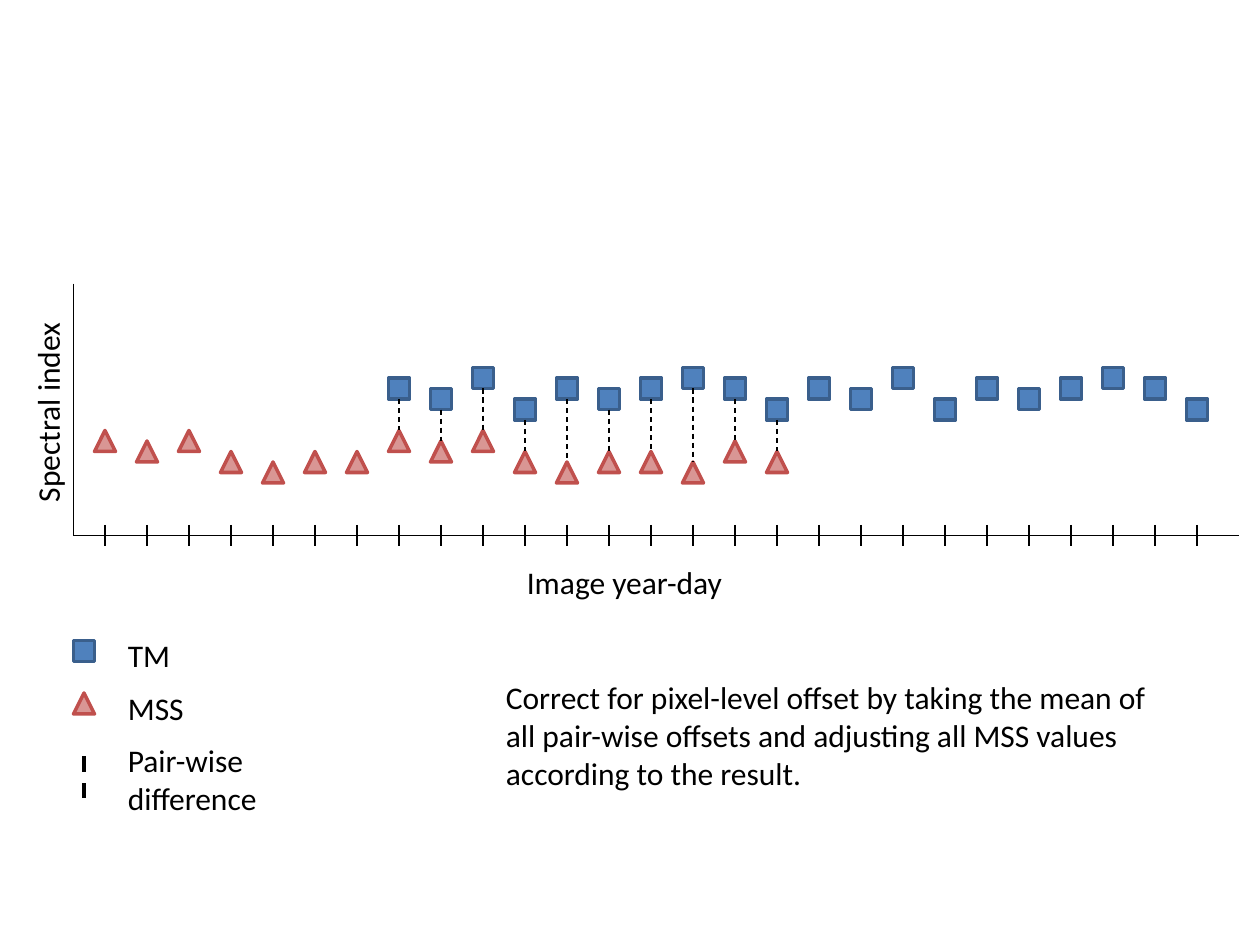
from lxml import etree
from pptx import Presentation
from pptx.dml.color import RGBColor
from pptx.enum.dml import MSO_LINE
from pptx.enum.shapes import MSO_CONNECTOR, MSO_SHAPE
from pptx.oxml.ns import qn
from pptx.util import Cm, Pt

STRAIGHT = MSO_CONNECTOR.STRAIGHT
DASH = MSO_LINE.DASH
SQUARE, TRIANGLE = MSO_SHAPE.RECTANGLE, MSO_SHAPE.ISOSCELES_TRIANGLE

THEME = {
    "font": "Calibri", "size": Pt(18), "ink": RGBColor.from_string("000000"),
    "thin": Pt(0.75), "thick": Pt(2.25), "outline": Pt(2),
    "TM": {"shape": SQUARE, "fill": RGBColor.from_string("4F81BD"),
           "line": RGBColor.from_string("3A5F8C")},
    "MSS": {"shape": TRIANGLE, "fill": RGBColor.from_string("D99694"),
            "line": RGBColor.from_string("C0504D")},
}

# All positions are in grid steps of 1/12 inch; series values are marker tops.
GRID = 2.54 / 12
MARKER = 2
TICK_COUNT, FIRST_TICK, TICK_STEP = 27, 10, 4
AXIS_LEFT, AXIS_RIGHT, AXIS_TOP, AXIS_BOTTOM = 7, 118, 27, 51
TM_START = 7
TM_TOPS = [36, 37, 35, 38, 36, 37, 36, 35, 36, 38,
           36, 37, 35, 38, 36, 37, 36, 35, 36, 38]
MSS_TOPS = [41, 42, 41, 43, 44, 43, 43, 41, 42, 41,
            43, 44, 43, 43, 44, 42, 43]

# text, left, top, width, height, rotation
LABELS = [
    ("Image year-day", 49, 53, 25, 4.8, 0),
    ("Correct for pixel-level offset by taking the mean of all pair-wise "
     "offsets and adjusting all MSS values according to the result.",
     47, 64, 64, 12.1, 0),
    ("Spectral index", -5.5, 36.6, 20, 4.8, 270),
]
LEGEND_LABELS = [
    ("TM", 11, 60, 9, 5, 0),
    ("MSS", 11, 65, 9, 5, 0),
    ("Pair-wise difference", 11, 70, 17, 8.5, 0),
]
LEGEND_MARKERS = [("TM", 8, 61), ("MSS", 8, 66)]
LEGEND_DASH = (8, 72, 8, 76)


def grid(*steps):
    """Turn grid steps into lengths."""
    return [Cm(step * GRID) for step in steps]


def tick_x(index):
    """Return the horizontal place of a tick."""
    return FIRST_TICK + index * TICK_STEP


def add_marker(shapes, series, center, top):
    """Add one series marker centred on a grid column."""
    style = THEME[series]
    shape = shapes.add_shape(style["shape"],
                             *grid(center - MARKER / 2, top, MARKER, MARKER))
    shape.shadow.inherit = False
    shape.fill.solid()
    shape.fill.fore_color.rgb = style["fill"]
    shape.line.color.rgb = style["line"]
    shape.line.width = THEME["outline"]


def add_line(shapes, ends, width=THEME["thin"], dash=None):
    """Add a straight black line without a shadow."""
    line = shapes.add_connector(STRAIGHT, *grid(*ends))
    line.line.color.rgb = THEME["ink"]
    for name, value in {"width": width, "dash_style": dash}.items():
        setattr(line.line, name, value)
    etree.SubElement(line._element.spPr, qn("a:effectLst"))


def add_label(shapes, text, left, top, width, height, rotation):
    """Add a wrapped text box."""
    box = shapes.add_textbox(*grid(left, top, width, height))
    box.rotation = rotation
    box.text_frame.word_wrap = True
    run = box.text_frame.paragraphs[0].add_run()
    run.text = text
    for name, value in {"name": THEME["font"], "size": THEME["size"]}.items():
        setattr(run.font, name, value)
    run.font.color.rgb = THEME["ink"]


def add_series(shapes, series, tops, start=0):
    """Add the markers of a series, one per tick."""
    for index, top in enumerate(tops, start):
        add_marker(shapes, series, tick_x(index), top)


def add_axes(shapes):
    """Add both axes and the ticks."""
    add_line(shapes, (AXIS_LEFT, AXIS_BOTTOM, AXIS_RIGHT, AXIS_BOTTOM))
    add_line(shapes, (AXIS_LEFT, AXIS_TOP, AXIS_LEFT, AXIS_BOTTOM))
    for index in range(TICK_COUNT):
        x = tick_x(index)
        add_line(shapes, (x, AXIS_BOTTOM - 1, x, AXIS_BOTTOM + 1))


def add_differences(shapes):
    """Join each TM marker to the MSS marker on the same tick."""
    pairs = zip(TM_TOPS, MSS_TOPS[TM_START:])
    for index, (tm_top, mss_top) in enumerate(pairs, TM_START):
        x = tick_x(index)
        add_line(shapes, (x, tm_top + MARKER, x, mss_top), dash=DASH)


def add_legend(shapes):
    """Add the legend keys and their names."""
    for marker in LEGEND_MARKERS:
        add_marker(shapes, *marker)
    add_line(shapes, LEGEND_DASH, THEME["thick"], DASH)
    for label in LEGEND_LABELS:
        add_label(shapes, *label)


def main():
    """Build and save the slide."""
    presentation = Presentation()
    presentation.slide_width, presentation.slide_height = Cm(25.4), Cm(19.05)
    slide = presentation.slides.add_slide(presentation.slide_layouts[6])
    shapes = slide.shapes
    add_series(shapes, "TM", TM_TOPS, TM_START)
    add_series(shapes.add_group_shape().shapes, "MSS", MSS_TOPS)
    add_axes(shapes)
    add_differences(shapes.add_group_shape().shapes)
    add_legend(shapes.add_group_shape().shapes)
    for label in LABELS:
        add_label(shapes, *label)
    presentation.save("out.pptx")


main()
